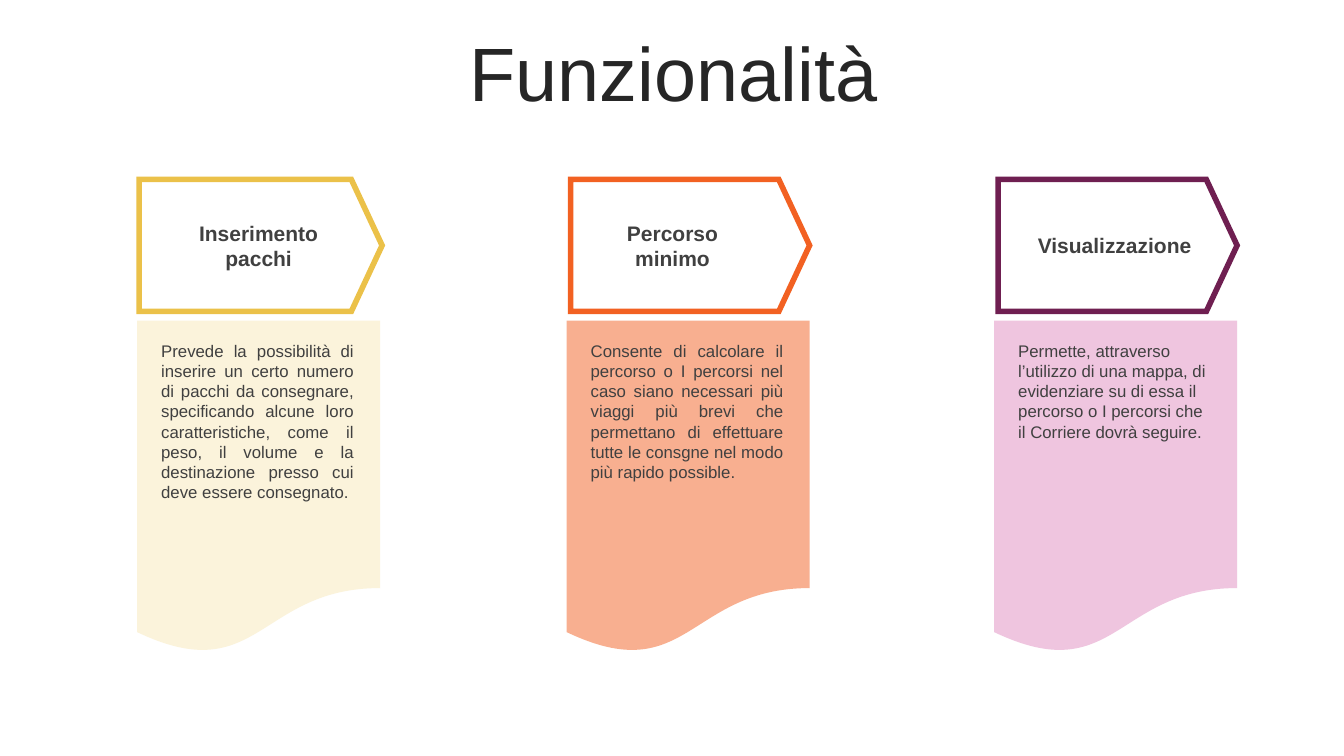
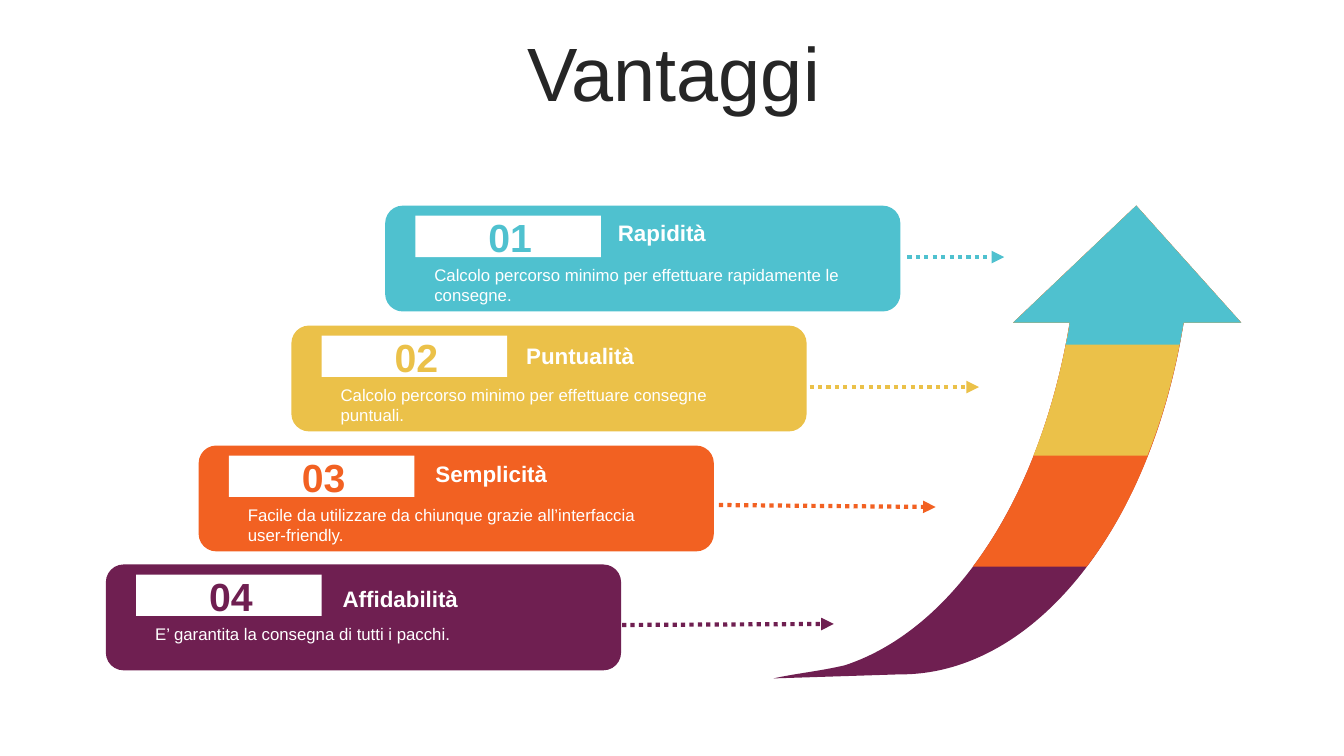
from pptx import Presentation
from pptx.dml.color import RGBColor
from pptx.enum import dml, shapes, text
from pptx.oxml.ns import qn
from pptx.util import Inches, Pt
from lxml import etree

TEAL, GOLD, RUST, PLUM = "4FC1CF", "EBC149", "F26122", "6F1F51"
WHITE, GREY, INK = "FFFFFF", "404040", "262626"
FONT = "Arial"
KIND = shapes.MSO_SHAPE
LEFT, MID, FULL = text.PP_ALIGN.LEFT, text.PP_ALIGN.CENTER, text.PP_ALIGN.JUSTIFY
TOP, CENTRE = text.MSO_ANCHOR.TOP, text.MSO_ANCHOR.MIDDLE


def rgb(code):
    return RGBColor.from_string(code)


def label(slide, box, words, size, color, bold=False, align=LEFT, anchor=TOP):
    frame = slide.shapes.add_textbox(*map(Inches, box)).text_frame
    frame.word_wrap = True
    frame.vertical_anchor = anchor
    para = frame.paragraphs[0]
    para.text = words
    para.alignment = align
    font = para.font
    font.name, font.size, font.bold = FONT, Pt(size), bold
    font.color.rgb = rgb(color)
    return para


def paint(shape, fill=None, line=None, alpha=100):
    """Set fill and line; alpha is the fill's opacity in percent."""
    shape.shadow.inherit = False
    if fill:
        shape.fill.solid()
        shape.fill.fore_color.rgb = rgb(fill)
    else:
        shape.fill.background()
    if alpha < 100:
        tone = shape._element.spPr.find(qn("a:solidFill"))[0]
        etree.SubElement(tone, qn("a:alpha"), val=str(alpha * 1000))
    if line:
        shape.line.color.rgb = rgb(line)
        shape.line.width = Pt(4)
        etree.SubElement(shape.line._get_or_add_ln(), qn("a:miter"), lim="800000")
    else:
        shape.line.fill.background()
    return shape


def block(slide, kind, box, **look):
    return paint(slide.shapes.add_shape(kind, *map(Inches, box)), **look)


def dotted(slide, ends, color):
    """Draw a dotted arrow from the first point to the second."""
    link = slide.shapes.add_connector(
        shapes.MSO_CONNECTOR.STRAIGHT, *map(Inches, ends))
    link.line.color.rgb = rgb(color)
    link.line.width = Pt(3)
    link.line.dash_style = dml.MSO_LINE.ROUND_DOT
    props = link._element.spPr
    etree.SubElement(props.find(qn("a:ln")), qn("a:tailEnd"), type="triangle")
    etree.SubElement(props, qn("a:effectLst"))


def new_slide(deck, title):
    slide = deck.slides.add_slide(deck.slide_layouts[6])
    para = label(slide, (0.35, 0.37, 12.66, 0.79), title, 54, INK,
                 align=MID, anchor=CENTRE)
    para.line_spacing = 0.9
    para.space_before = Pt(10)
    return slide


def column(slide, x, y, color, note, tab, head, spot, body, tall, align):
    """Place a pentagon tab over a wavy note.

    tab is the tab's left and width, spot the head's box, tall the body's height.
    """
    shape = block(slide, KIND.PENTAGON, (x + tab[0], y, tab[1], 1.31), line=color)
    shape.adjustments[0] = 0.233
    left, top, wide, high = spot
    label(slide, (x + left, y + top, wide, high), head, 15, GREY,
          bold=True, align=MID)
    block(slide, KIND.FLOWCHART_DOCUMENT, (x, y + 1.4, 2.41, 3.31), **note)
    label(slide, (x + 0.14, y + 1.55, 2.11, tall), body, 12, GREY, align=align)


def card(slide, x, y, color, number, head, shift, body, tall):
    """Place a numbered card; shift is the head's offset, tall the body's height."""
    block(slide, KIND.ROUNDED_RECTANGLE, (x, y, 5.11, 1.05), fill=color)
    block(slide, KIND.RECTANGLE, (x + 0.3, y + 0.1, 1.84, 0.41), fill=WHITE)
    label(slide, (x + 0.82, y + 0.03, 0.84, 0.57), number, 28, color,
          bold=True, align=MID)
    label(slide, (x + shift[0], y + shift[1], 1.69, 0.37), head, 16, WHITE,
          bold=True)
    label(slide, (x + 0.39, y + 0.54, 4.44, tall), body, 12, WHITE)


def outline(slide, x, y, pieces, color):
    """Draw a closed outline: one point is a line, three are a Bezier curve."""
    spots = [(Inches(x + a), Inches(y + b)) for piece in pieces for a, b in piece]
    pen = slide.shapes.build_freeform(*spots[0])
    pen.add_line_segments(spots[1:], close=True)
    shape = paint(pen.convert_to_shape(), fill=color)
    lines = iter(list(shape._element.iter(qn("a:lnTo"))))
    for piece in pieces[1:]:
        first, *rest = [next(lines) for _ in piece]
        if rest:
            first.tag = qn("a:cubicBezTo")
            for line in rest:
                first.append(line[0])
                line.getparent().remove(line)


def big_arrow(slide, x, y):
    """Draw the curved arrow, its bands laid over one another."""
    start = [[(3.6, 0)], [(4.64, 1.16)], [(4.07, 1.16)]]
    end = [[(2.38, 1.16)]]
    neck = (2.94, 1.16)
    bands = (
        (PLUM, [[(3.73, 3.26), (2.55, 4.66), (1.25, 4.65)],
                [(0, 4.69)],
                [(0.23, 4.64), (0.45, 4.62), (0.71, 4.56)],
                [(1.8, 4.2), (2.66, 2.88), neck]]),
        (RUST, [[(3.91, 2.15), (3.57, 2.98), (3.11, 3.58)],
                [(1.98, 3.58)],
                [(2.44, 2.97), (2.78, 2.13), neck]]),
        (GOLD, [[(3.99, 1.64), (3.87, 2.08), (3.71, 2.48)],
                [(2.58, 2.48)],
                [(2.74, 2.08), (2.86, 1.64), neck]]),
        (TEAL, [[(4.03, 1.38)],
                [(2.9, 1.38)],
                [(2.92, 1.31), (2.93, 1.24), neck]]),
    )
    for color, tail in bands:
        outline(slide, x, y, start + tail + end, color)


def features(deck):
    slide = new_slide(deck, "Funzionalità")
    columns = (
        (1.36, GOLD, {"fill": "FBF3DB"}, (0.02, 2.41),
         "Inserimento pacchi", (0.35, 0.36, 1.71, 0.61),
         "Prevede la possibilità di inserire un certo numero di pacchi da "
         "consegnare, specificando alcune loro caratteristiche, come il peso, "
         "il volume e la destinazione presso cui deve essere consegnato.",
         1.72, FULL),
        (5.62, RUST, {"fill": RUST, "alpha": 50}, (0.04, 2.37),
         "Percorso minimo", (0.36, 0.36, 1.38, 0.61),
         "Consente di calcolare il percorso o I percorsi nel caso siano "
         "necessari più viaggi più brevi che permettano di effettuare tutte "
         "le consgne nel modo più rapido possible.", 1.51, FULL),
        (9.86, PLUM, {"fill": "EFC5DF"}, (0.04, 2.37),
         "Visualizzazione", (0.3, 0.48, 1.79, 0.35),
         "Permette, attraverso l’utilizzo di una mappa, di evidenziare su di "
         "essa il percorso o I percorsi che il Corriere dovrà seguire.",
         1.11, LEFT),
    )
    for x, *parts in columns:
        column(slide, x, 1.78, *parts)


def benefits(deck):
    slide = new_slide(deck, "Vantaggi")
    cards = (
        (3.82, 2.04, TEAL, "01", "Rapidità", (2.21, 0.09),
         "Calcolo percorso minimo per effettuare rapidamente le consegne.", 0.5),
        (2.89, 3.23, GOLD, "02", "Puntualità", (2.23, 0.12),
         "Calcolo percorso minimo per effettuare consegne puntuali.", 0.5),
        (1.97, 4.42, RUST, "03", "Semplicità", (2.25, 0.1),
         "Facile da utilizzare da chiunque grazie all’interfaccia user-friendly.",
         0.5),
        (1.05, 5.6, PLUM, "04", "Affidabilità", (2.25, 0.16),
         "E’ garantita la consegna di tutti i pacchi.", 0.3),
    )
    for parts in cards:
        card(slide, *parts)
    big_arrow(slide, 7.67, 2.04)
    links = (
        (TEAL, (9, 2.55, 9.96, 2.55)),
        (GOLD, (8.03, 3.84, 9.71, 3.84)),
        (RUST, (7.13, 5.01, 9.28, 5.03)),
        (PLUM, (6.17, 6.2, 8.27, 6.19)),
    )
    for color, ends in links:
        dotted(slide, ends, color)


def main():
    deck = Presentation()
    deck.slide_width, deck.slide_height = Inches(13.33), Inches(7.5)
    features(deck)
    benefits(deck)
    deck.save("out.pptx")


if __name__ == "__main__":
    main()
